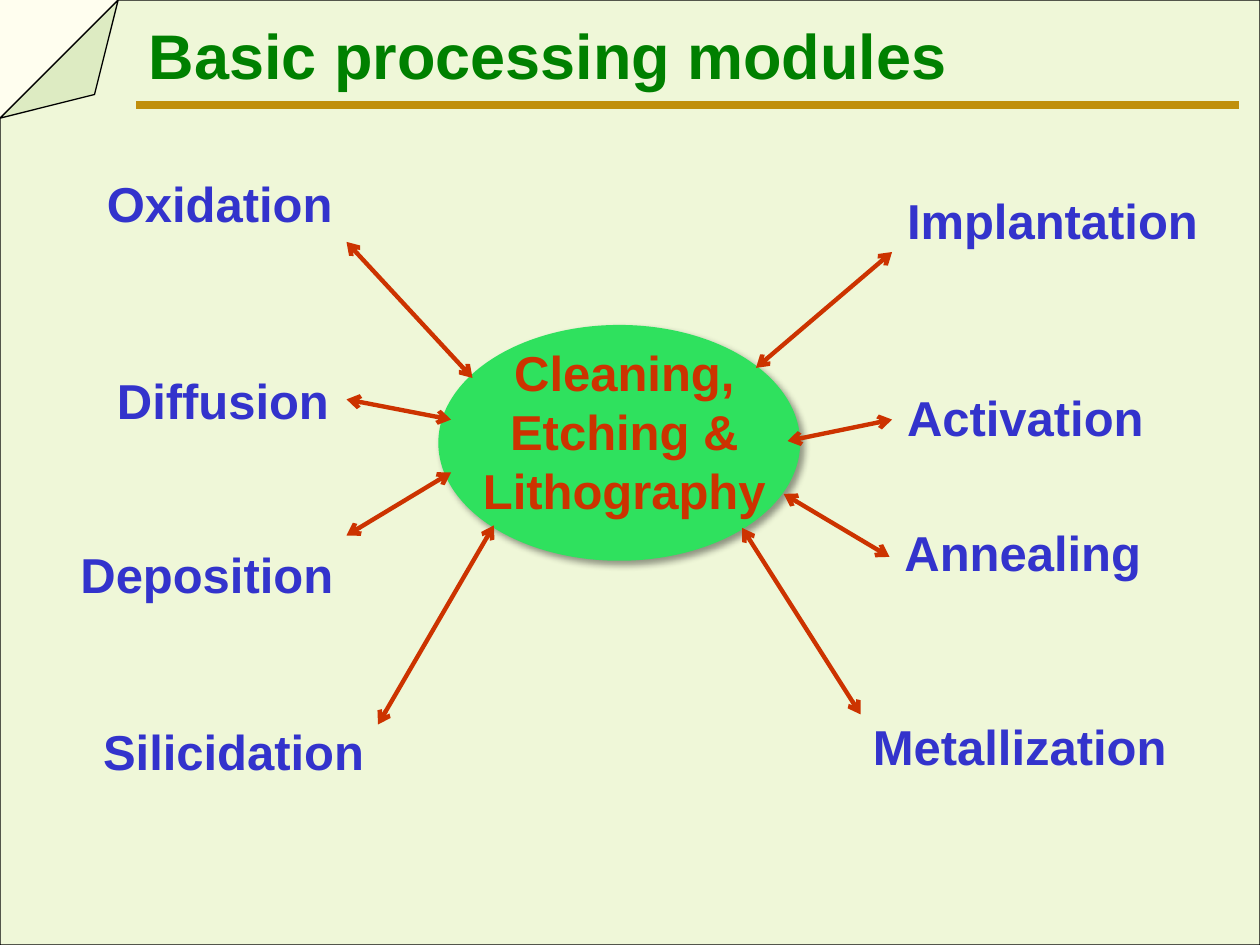
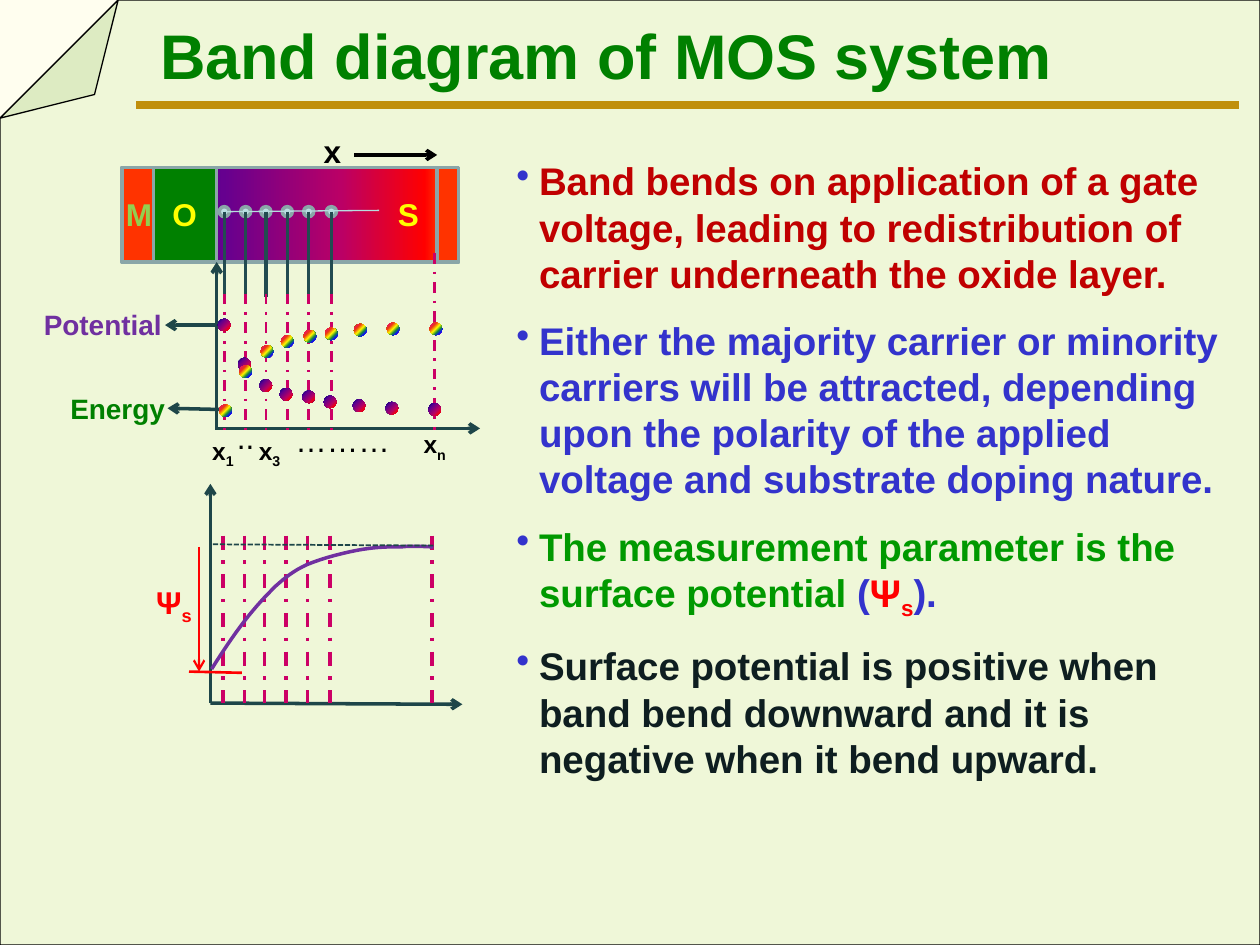
from dataclasses import dataclass

from pptx import Presentation
from pptx.dml.color import RGBColor
from pptx.enum import dml, shapes, text
from pptx.oxml import parse_xml
from pptx.oxml.ns import nsdecls, qn
from pptx.util import Inches, Pt

OVAL, RECT = shapes.MSO_SHAPE.OVAL, shapes.MSO_SHAPE.RECTANGLE
FOLDED = shapes.MSO_SHAPE.FOLDED_CORNER
DASH_DOT, SHORT_DASH = dml.MSO_LINE.DASH_DOT, dml.MSO_LINE.SQUARE_DOT
CENTER = text.PP_ALIGN.CENTER


@dataclass(frozen=True)
class Theme:
    font: str = "Arial"
    paper: str = "FFFEEF"
    page: str = "92D050"
    gold: str = "C88500"
    green: str = "008000"
    oval: str = "2FE15E"
    rust: str = "CC3300"
    blue: str = "3333CC"
    black: str = "000000"
    axis: str = "1E4649"
    probe: str = "224B50"
    edge: str = "8AA6A8"
    pale: str = "BBE0E3"
    thread: str = "B6DCDF"
    metal: str = "FF3300"
    magenta: str = "CC0066"
    violet: str = "7030A0"
    red: str = "FF0000"
    dark_red: str = "C00000"
    yellow: str = "FFFF00"
    leaf: str = "009900"
    ink: str = "0E1E20"
    title_size: int = 36
    module_size: int = 28
    body_size: int = 22
    symbol_size: int = 18
    label_size: int = 16
    tick_size: int = 14
    dusk: tuple = ((0, "000082"), (30, "66008F"), (65, "BA0066"),
                   (90, "FF0000"), (100, "FF8200"))
    rainbow: tuple = ((0, "A603AB"), (21, "0819FB"), (35, "1A8D48"), (52, "FFFF00"),
                      (73, "EE3F17"), (88, "E81766"), (100, "A603AB"))


def xml(tag, attributes="", inner=""):
    return parse_xml(f"<a:{tag} {nsdecls('a')} {attributes}>{inner}</a:{tag}>")


def write(frame, *paragraphs, size, color, font, bold=True, align=None,
          after=0, bullet=None):
    """Fill a frame; a paragraph is a string or a list of (text, color, is_subscript)."""
    for index, content in enumerate(paragraphs):
        paragraph = frame.add_paragraph() if index else frame.paragraphs[0]
        paragraph.alignment = align
        paragraph.space_after = Pt(after)
        if bullet:
            props = paragraph._p.get_or_add_pPr()
            props.set("marL", str(Inches(0.18)))
            props.set("indent", str(-Inches(0.18)))
            props.append(xml("buClr", "", f'<a:srgbClr val="{bullet}"/>'))
            props.append(xml("buChar", 'char="•"'))
        pieces = [(content, color, False)] if isinstance(content, str) else content
        for words, ink, is_subscript in pieces:
            run = paragraph.add_run()
            run.text = words
            run.font.name, run.font.size, run.font.bold = font, Pt(size), bold
            run.font.color.rgb = RGBColor.from_string(ink)
            if is_subscript:
                run._r.get_or_add_rPr().set("baseline", "-25000")


class Deck:
    def __init__(self, theme):
        self.theme = theme
        self.prs = Presentation()
        self.prs.slide_width, self.prs.slide_height = Inches(10), Inches(7.5)
        self.layout = self.prs.slide_layouts[5]
        self.slide = None

    def new_slide(self, title, left):
        is_first = self.slide is None
        self.slide = self.prs.slides.add_slide(self.layout)
        if is_first:
            self.dress_layout()
        holder = self.slide.shapes.title
        holder.left, holder.top = Inches(left), Inches(0.08)
        holder.width, holder.height = Inches(8.58), Inches(0.62)
        frame = holder.text_frame
        frame.word_wrap, frame.auto_size = True, text.MSO_AUTO_SIZE.NONE
        frame.vertical_anchor = text.MSO_ANCHOR.TOP
        write(frame, title, size=self.theme.title_size, color=self.theme.green,
              font=self.theme.font, align=text.PP_ALIGN.LEFT)

    def dress_layout(self):
        """Draw the folded page and title rule, then move them to the shared layout."""
        t = self.theme
        fill = self.layout.background.fill
        fill.solid()
        fill.fore_color.rgb = RGBColor.from_string(t.paper)
        rule = self.line((1.08, 0.83), (9.83, 0.83), t.gold, 4.5)
        page = self.shape(FOLDED, 0, 0, 10, 7.5, t.page, t.black, 0.75)
        page.rotation = 180
        props = page.element.spPr
        props.find(qn("a:prstGeom")).find(qn("a:avLst")).append(
            xml("gd", 'name="adj" fmla="val 12500"'))
        props.find(qn("a:solidFill")).find(qn("a:srgbClr")).append(xml("alpha", 'val="14000"'))
        for place, part in enumerate((rule, page)):
            part.element.xpath(".//p:cNvPr")[0].set("id", str(100 + place))
            self.layout.shapes.element.insert(2 + place, part.element)

    def outline(self, line, color, width):
        if color is None:
            line.fill.background()
        else:
            line.color.rgb = RGBColor.from_string(color)
            line.width = Pt(width)

    def shape(self, kind, left, top, width, height, fill, edge=None, edge_width=2.0, angle=0):
        """Add a preset shape; fill is a colour or a sequence of gradient stops."""
        item = self.slide.shapes.add_shape(
            kind, Inches(left), Inches(top), Inches(width), Inches(height))
        item.shadow.inherit = False
        item.fill.solid()
        if isinstance(fill, str):
            item.fill.fore_color.rgb = RGBColor.from_string(fill)
        else:
            stops = "".join(f'<a:gs pos="{at * 1000}"><a:srgbClr val="{color}"/></a:gs>'
                            for at, color in fill)
            props = item.element.spPr
            props.replace(props.find(qn("a:solidFill")), xml(
                "gradFill", 'rotWithShape="1"',
                f'<a:gsLst>{stops}</a:gsLst><a:lin ang="{angle * 60000}" scaled="0"/>'))
        self.outline(item.line, edge, edge_width)
        return item

    def line(self, start, end, color, width, dash=None, head=False, tail=False):
        item = self.slide.shapes.add_connector(
            shapes.MSO_CONNECTOR.STRAIGHT, *(Inches(v) for v in (*start, *end)))
        self.outline(item.line, color, width)
        if dash:
            item.line.dash_style = dash
        props = item.element.spPr
        for tag, wanted in (("headEnd", head), ("tailEnd", tail)):
            if wanted:
                props.find(qn("a:ln")).append(xml(tag, 'type="arrow"'))
        props.append(xml("effectLst"))
        return item

    def curve(self, start, bends, color, width, steps=8):
        """Trace cubic Bezier bends, each two control points and an end point."""
        points = []
        origin = start
        for bend in bends:
            for step in range(1, steps + 1):
                s = step / steps
                weights = ((1 - s) ** 3, 3 * s * (1 - s) ** 2, 3 * s * s * (1 - s), s ** 3)
                points.append(tuple(Inches(sum(w * p[axis] for w, p in zip(weights, (origin, *bend))))
                                    for axis in (0, 1)))
            origin = bend[-1]
        builder = self.slide.shapes.build_freeform(Inches(start[0]), Inches(start[1]))
        builder.add_line_segments(points, close=False)
        item = builder.convert_to_shape()
        item.shadow.inherit = False
        item.fill.background()
        self.outline(item.line, color, width)

    def label(self, left, top, width, height, *paragraphs, size, color, wrap=True, **form):
        box = self.slide.shapes.add_textbox(
            Inches(left), Inches(top), Inches(width), Inches(height))
        box.text_frame.word_wrap = wrap
        write(box.text_frame, *paragraphs, size=size, color=color,
              font=self.theme.font, **form)


def modules_slide(deck):
    t = deck.theme
    deck.new_slide("Basic processing modules", 1.08)
    core = deck.shape(OVAL, 3.5, 2.6, 2.83, 1.83, t.oval, t.oval, 3)
    core.element.spPr.find(qn("a:effectLst")).append(xml(
        "outerShdw", f'blurRad="{Pt(4)}" dist="{Pt(3)}" dir="2700000" rotWithShape="0"',
        f'<a:srgbClr val="{t.black}"><a:alpha val="40000"/></a:srgbClr>'))
    deck.label(3.67, 2.67, 2.57, 1.5, "Cleaning, Etching & Lithography",
               size=t.module_size, color=t.rust, align=CENTER)
    # name, label left, top and width, arrow start at the core, arrow end at the label
    modules = (
        ("Oxidation", 0.75, 1.33, 2, (3.75, 3), (2.75, 1.92)),
        ("Diffusion", 0.83, 2.89, 1.89, (3.58, 3.33), (2.75, 3.17)),
        ("Deposition", 0.54, 4.27, 2.21, (3.58, 3.75), (2.75, 4.25)),
        ("Silicidation", 0.72, 5.68, 2.28, (3.92, 4.17), (3, 5.75)),
        ("Implantation", 7.1, 1.46, 2.52, (6, 2.92), (7.08, 2)),
        ("Activation", 7.1, 3.03, 2.09, (6.25, 3.5), (7.08, 3.33)),
        ("Annealing", 7.08, 4.1, 2.08, (6.22, 3.92), (7.06, 4.42)),
        ("Metallization", 6.83, 5.64, 2.54, (5.89, 4.19), (6.83, 5.67)),
    )
    for name, left, top, width, start, end in modules:
        deck.label(left, top, width, 0.57, name, size=t.module_size, color=t.blue, wrap=False)
        deck.line(start, end, t.rust, 2.5, head=True, tail=True)


PROBES = (1.78, 1.95, 2.11, 2.28, 2.45, 2.63)


def draw_device(deck):
    t = deck.theme
    for left, width, fill in ((0.97, 2.67, t.dusk), (0.97, 0.25, t.metal),
                              (1.22, 0.5, t.green), (3.47, 0.17, t.metal)):
        deck.shape(RECT, left, 1.33, width, 0.75, fill, t.edge)
    for x in PROBES:
        deck.shape(OVAL, x - 0.04, 1.64, 0.08, 0.08, t.pale, t.edge)
    deck.line((1.79, 1.68), (3.01, 1.67), t.thread, 0.75)
    for x in PROBES:
        deck.line((x, 1.68), (x, 2.36), t.probe, 2)
    deck.line((2.81, 1.23), (3.47, 1.23), t.black, 2, tail=True)
    deck.label(2.47, 1, 0.33, 0.4, "x", size=t.symbol_size, color=t.black)
    for layer, left, color in (("M", 0.9, t.page), ("O", 1.27, t.yellow), ("S", 3.06, t.yellow)):
        deck.label(left, 1.5, 0.41, 0.4, layer, size=t.symbol_size, color=color, wrap=False)


def draw_profiles(deck):
    """Plot potential and energy against depth below the device."""
    t = deck.theme
    for start, end in (((1.72, 3.41), (1.72, 2.08)), ((1.71, 3.4), (3.81, 3.4)),
                       ((1.72, 2.58), (1.31, 2.58)), ((1.75, 3.25), (1.33, 3.24))):
        deck.line(start, end, t.axis, 2, tail=True)
    for x in PROBES:
        deck.line((x, 2.33), (x, 3.41), t.magenta, 1.5, DASH_DOT)
    deck.line((3.45, 2.01), (3.45, 3.41), t.magenta, 1.5, DASH_DOT)
    for index, left, top in (("1", 1.56, 3.41), ("n", 3.24, 3.36), ("3", 1.93, 3.41)):
        deck.label(left, top, 0.42, 0.34, [("x", t.black, False), (index, t.black, True)],
                   size=t.tick_size, color=t.black, align=CENTER)
    for dots, left, top, width in (("..", 1.74, 3.27, 0.42), ("………", 2.22, 3.29, 1)):
        deck.label(left, top, width, 0.4, dots, size=t.symbol_size, color=t.black,
                   bold=False, align=CENTER)
    depths = (1.73, 1.89, 2.06, 2.22, 2.4, 2.57, 2.8, 3.06, 3.4)
    falling = (2.53, 2.84, 3.01, 3.08, 3.1, 3.14, 3.17, 3.19, 3.2)
    rising = (3.21, 2.9, 2.74, 2.66, 2.62, 2.6, 2.57, 2.56, 2.56)
    for tops, shift, fill, angle in ((falling, 0, t.dusk, 45), (rising, 0.01, t.rainbow, 225)):
        for x, y in zip(depths, tops):
            deck.shape(OVAL, x + shift, y, 0.1, 0.1, fill, angle=angle)
    deck.label(0.25, 2.39, 1.17, 0.37, "Potential", size=t.label_size, color=t.violet)
    deck.label(0.46, 3.06, 1, 0.37, "Energy", size=t.label_size, color=t.green)


def draw_band_bending(deck):
    t = deck.theme
    deck.line((1.67, 5.58), (1.67, 3.84), t.axis, 2, tail=True)
    deck.line((1.67, 5.58), (3.67, 5.59), t.axis, 2, tail=True)
    for x in (*PROBES, 3.44):
        deck.line((x - 0.01, 4.25), (x - 0.01, 5.58), t.magenta, 2, DASH_DOT)
    deck.curve((1.68, 5.31), (
        ((1.78, 5.15), (1.89, 4.99), (1.98, 4.88)),
        ((2.07, 4.77), (2.12, 4.72), (2.19, 4.65)),
        ((2.27, 4.58), (2.33, 4.53), (2.44, 4.48)),
        ((2.56, 4.43), (2.75, 4.38), (2.88, 4.36)),
        ((3, 4.34), (3.1, 4.34), (3.19, 4.34)),
        ((3.29, 4.33), (3.37, 4.34), (3.44, 4.34))), t.violet, 2)
    deck.line((3.44, 4.33), (1.67, 4.32), t.axis, 1, SHORT_DASH)
    deck.label(1.14, 4.58, 0.5, 0.4, [("Ψ", t.red, False), ("s", t.red, True)],
               size=t.symbol_size, color=t.red)
    deck.line((1.58, 4.34), (1.58, 5.33), t.red, 1.25, tail=True)
    deck.line((1.5, 5.33), (1.92, 5.34), t.red, 1.5)


def band_slide(deck):
    t = deck.theme
    deck.new_slide("Band diagram of MOS system", 1.17)
    draw_device(deck)
    draw_profiles(deck)
    draw_band_bending(deck)
    deck.label(
        4, 1.2, 5.83, 5.05,
        [("Band bends on application of a gate voltage, leading to redistribution of "
          "carrier underneath the oxide layer.", t.dark_red, False)],
        "Either the majority carrier or minority carriers will be attracted, depending "
        "upon the polarity of the applied voltage and substrate doping nature.",
        [("The measurement parameter is the surface potential", t.leaf, False),
         (" (", t.blue, False), ("Ψ", t.red, False), ("s", t.red, True), (").", t.blue, False)],
        [("Surface potential is positive when band bend downward and it is negative "
          "when it bend upward.", t.ink, False)],
        size=t.body_size, color=t.blue, after=12, bullet=t.blue)


def main():
    deck = Deck(Theme())
    modules_slide(deck)
    band_slide(deck)
    deck.prs.save("out.pptx")


if __name__ == "__main__":
    main()
